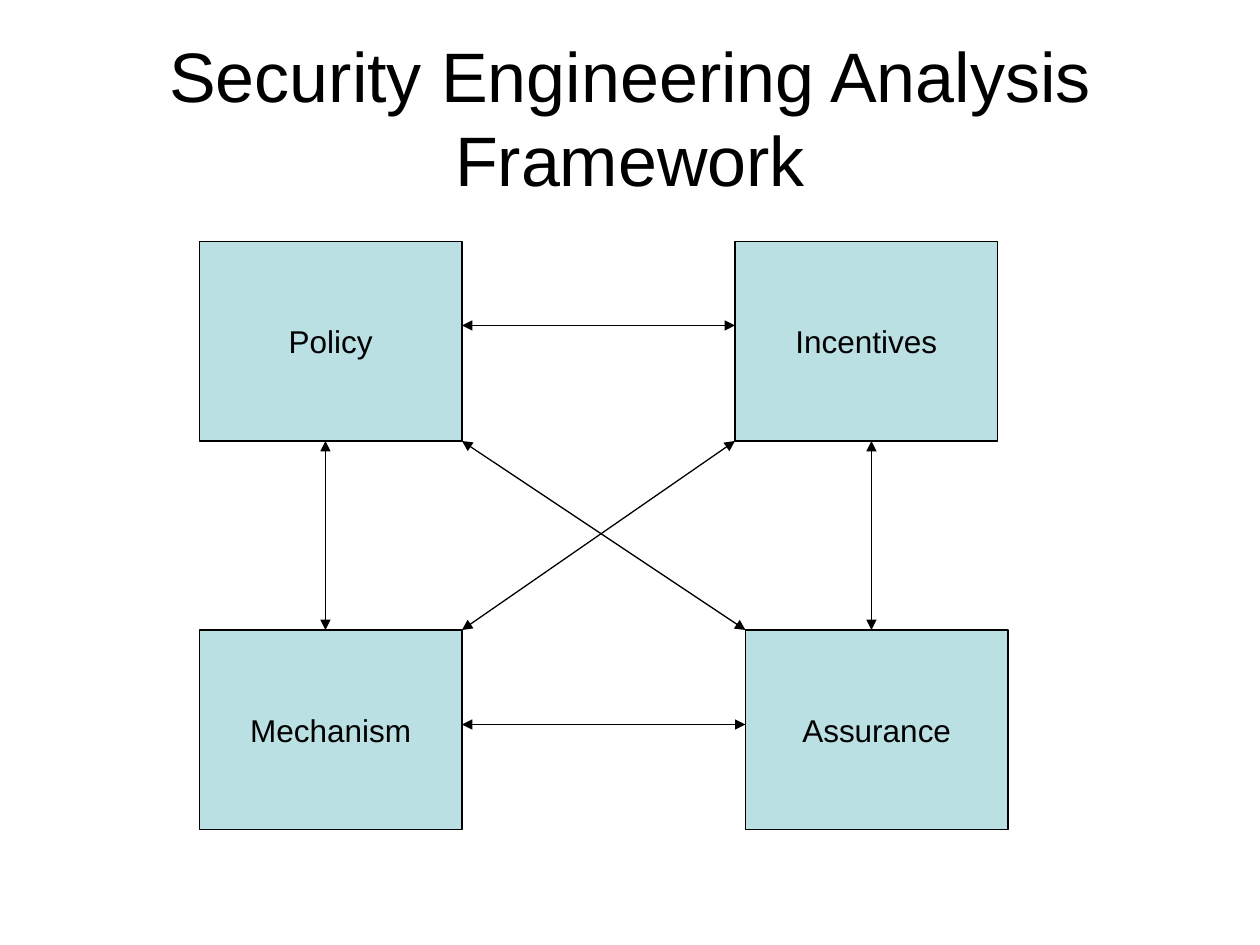
from lxml import etree
from pptx import Presentation
from pptx import util as u
from pptx.dml.color import RGBColor
from pptx.enum import shapes, text
from pptx.oxml.ns import qn

PX = u.Inches(1) // 120
COLORS = {"ink": "000000", "box": "BBE0E3"}
INK = RGBColor.from_string(COLORS["ink"])
BOX_WIDTH, BOX_HEIGHT = 250, 190
LEFT, TOP, BOTTOM = 190, 230, 600
INCENTIVES_LEFT, ASSURANCE_LEFT = 700, 710


def write(shape, content, size):
    """Put one centred line of black Arial text in a shape."""
    frame = shape.text_frame
    frame.text = content
    frame.vertical_anchor = text.MSO_ANCHOR.MIDDLE
    paragraph = frame.paragraphs[0]
    paragraph.alignment = text.PP_ALIGN.CENTER
    font = paragraph.runs[0].font
    font.name, font.size = "Arial", u.Pt(size)
    font.color.rgb = INK


presentation = Presentation()
presentation.slide_width, presentation.slide_height = 1200 * PX, 900 * PX
slide = presentation.slides.add_slide(presentation.slide_layouts[5])

title = slide.shapes.title
title.left, title.top, title.width, title.height = (
    n * PX for n in (60, 36, 1080, 150))
write(title, "Security Engineering Analysis Framework", 40)
title.text_frame.auto_size = text.MSO_AUTO_SIZE.NONE

boxes = [
    ("Policy", LEFT, TOP),
    ("Incentives", INCENTIVES_LEFT, TOP),
    ("Mechanism", LEFT, BOTTOM),
    ("Assurance", ASSURANCE_LEFT, BOTTOM),
]
for label, left, top in boxes:
    box = slide.shapes.add_shape(
        shapes.MSO_SHAPE.RECTANGLE,
        left * PX, top * PX, BOX_WIDTH * PX, BOX_HEIGHT * PX)
    box.shadow.inherit = False
    box.fill.solid()
    box.fill.fore_color.rgb = RGBColor.from_string(COLORS["box"])
    box.line.color.rgb = INK
    box.line.width = u.Pt(0.75)
    write(box, label, 18)
    box.text_frame.word_wrap = False

inner_left = LEFT + BOX_WIDTH
inner_top = TOP + BOX_HEIGHT
arrows = [
    (inner_left, 690, ASSURANCE_LEFT, 690),
    (310, inner_top, 310, BOTTOM),
    (830, inner_top, 830, BOTTOM),
    (inner_left, 310, INCENTIVES_LEFT, 310),
    (inner_left, BOTTOM, INCENTIVES_LEFT, inner_top),
    (inner_left, inner_top, ASSURANCE_LEFT, BOTTOM),
]
for ends in arrows:
    arrow = slide.shapes.add_connector(
        shapes.MSO_CONNECTOR.STRAIGHT, *(n * PX for n in ends))
    arrow.line.color.rgb = INK
    arrow.line.width = u.Pt(0.75)
    properties = arrow.line._get_or_add_ln()
    for end in ("a:headEnd", "a:tailEnd"):
        etree.SubElement(properties, qn(end), type="triangle")
    etree.SubElement(arrow._element.spPr, qn("a:effectLst"))

presentation.save("out.pptx")
